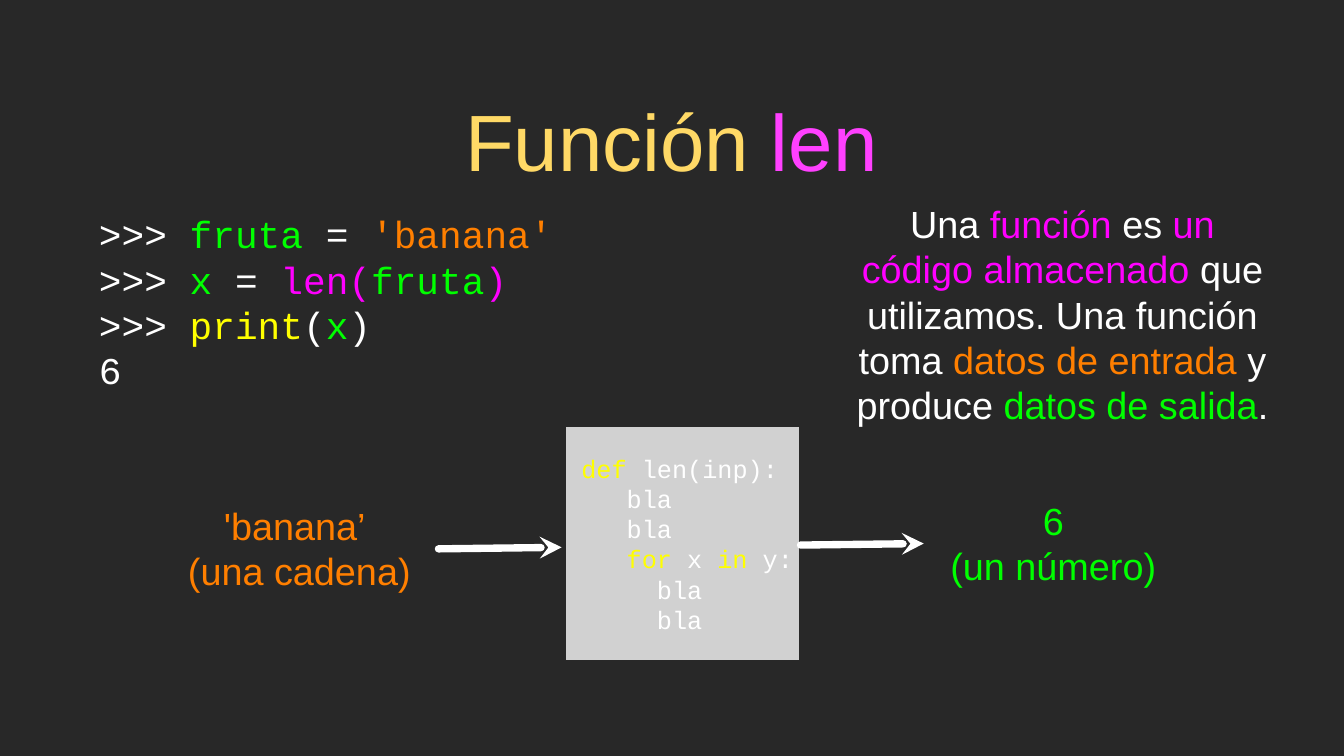
from pptx import Presentation
from pptx.dml.color import RGBColor
from pptx.enum.shapes import MSO_CONNECTOR as CONN, MSO_SHAPE as SHAPE
from pptx.enum.text import MSO_ANCHOR as ANCHOR, PP_ALIGN as ALIGN
from pptx.oxml.ns import qn
from pptx.util import Inches, Pt
from lxml import etree

COLORS = {
    "bg": "282828", "white": "FFFFFF", "gold": "FFD966", "pink": "FF40FF",
    "magenta": "FF00FF", "green": "00FF00", "orange": "FF7F00",
    "yellow": "FFFF00", "box": "D1D1D1",
}


def rgb(name):
    return RGBColor.from_string(COLORS[name])


def write(sp, lines, size, font, align, inset=0, indents=None):
    """Fill a shape; each line is a list of (text, colour) runs."""
    tf = sp.text_frame
    tf.word_wrap = True
    tf.vertical_anchor = ANCHOR.MIDDLE
    tf.margin_left = tf.margin_right = Inches(inset)
    tf.margin_top = tf.margin_bottom = Inches(inset)
    for i, runs in enumerate(lines):
        p = tf.paragraphs[0] if i == 0 else tf.add_paragraph()
        p.alignment = align
        p.line_spacing = Pt(size * 1.2)
        if indents:
            p._p.get_or_add_pPr().set("marL", str(Inches(indents[i])))
        for text, color in runs:
            r = p.add_run()
            r.text = text
            r.font.size = Pt(size)
            r.font.name = font
            r.font.color.rgb = rgb(color)


prs = Presentation()
prs.slide_width, prs.slide_height = Inches(17.78), Inches(10)
s = prs.slides.add_slide(prs.slide_layouts[6])
s.background.fill.solid()
s.background.fill.fore_color.rgb = rgb("bg")

# Title
title = s.shapes.add_textbox(Inches(1.26), Inches(0.91), Inches(15.24), Inches(1.87))
write(title, [[("Función ", "gold"), ("len", "pink")]], 76, "Arial", ALIGN.CENTER, 0.04)

# Interpreter session
session = s.shapes.add_textbox(Inches(1.31), Inches(2.78), Inches(6.17), Inches(2.42))
prompt = (">>> ", "white")
write(session, [
    [prompt, ("fruta ", "green"), ("=", "white"), (" 'banana'", "orange")],
    [prompt, ("x ", "green"), ("= ", "white"), ("len(", "magenta"),
     ("fruta", "green"), (")", "magenta")],
    [prompt, ("print", "yellow"), ("(", "white"), ("x", "green"), (")", "white")],
    [("6", "white")],
], 36, "Courier New", ALIGN.LEFT)

# Function body, indented by whole characters of 0.2 inch
body = s.shapes.add_shape(SHAPE.RECTANGLE, Inches(7.49), Inches(5.65), Inches(3.08), Inches(3.08))
body.shadow.inherit = False
body.fill.solid()
body.fill.fore_color.rgb = rgb("box")
body.line.fill.background()
bla = [("bla", "white")]
write(body, [
    [("def ", "yellow"), ("len(inp):", "white")],
    bla,
    bla,
    [("for", "yellow"), (" x ", "white"), ("in", "yellow"), (" y:", "white")],
    bla,
    bla,
], 24, "Courier New", ALIGN.LEFT, indents=[0.2 * n for n in (1, 4, 4, 4, 6, 6)])
body.text_frame.margin_right = 0

# Input and output
for left, top, width, height, color, lines in (
    (2.42, 6.64, 3.08, 1.21, "orange", ("'banana’ ", "(una cadena)")),
    (12.51, 6.56, 2.85, 1.25, "green", ("6", "(un número)")),
):
    label = s.shapes.add_textbox(Inches(left), Inches(top), Inches(width), Inches(height))
    write(label, [[(text, color)] for text in lines], 36, "Arial", ALIGN.CENTER)

# Arrows into and out of the function, starting at the tip
for tip, y in ((7.43, 7.24), (12.22, 7.19)):
    arrow = s.shapes.add_connector(
        CONN.STRAIGHT, Inches(tip), Inches(y), Inches(tip - 1.63), Inches(y + 0.02))
    arrow.line.color.rgb = rgb("white")
    arrow.line.width = Pt(7)
    ln = arrow.line._get_or_add_ln()
    ln.set("cap", "rnd")
    etree.SubElement(ln, qn("a:headEnd"), type="stealth")
    etree.SubElement(arrow._element.spPr, qn("a:effectLst"))

# Explanation
note = s.shapes.add_textbox(Inches(11.25), Inches(2.96), Inches(5.61), Inches(2.39))
write(note, [[
    ("Una ", "white"), ("función", "magenta"), (" es ", "white"),
    ("un código almacenado", "magenta"),
    (" que utilizamos. Una función toma ", "white"),
    ("datos de entrada ", "orange"), ("y produce ", "white"),
    ("datos de salida", "green"), (".", "white"),
]], 36, "Arial", ALIGN.CENTER)

prs.save("out.pptx")
